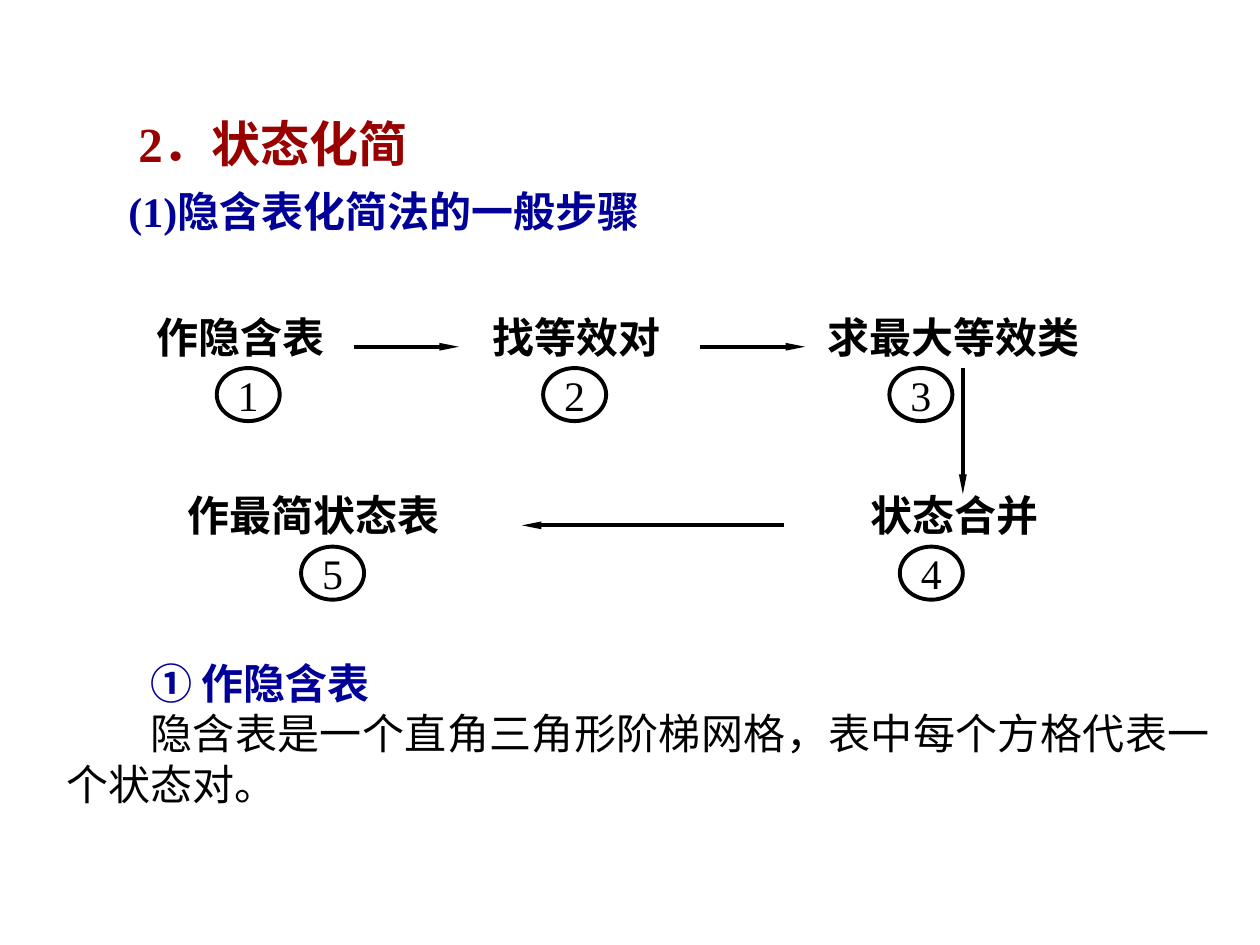
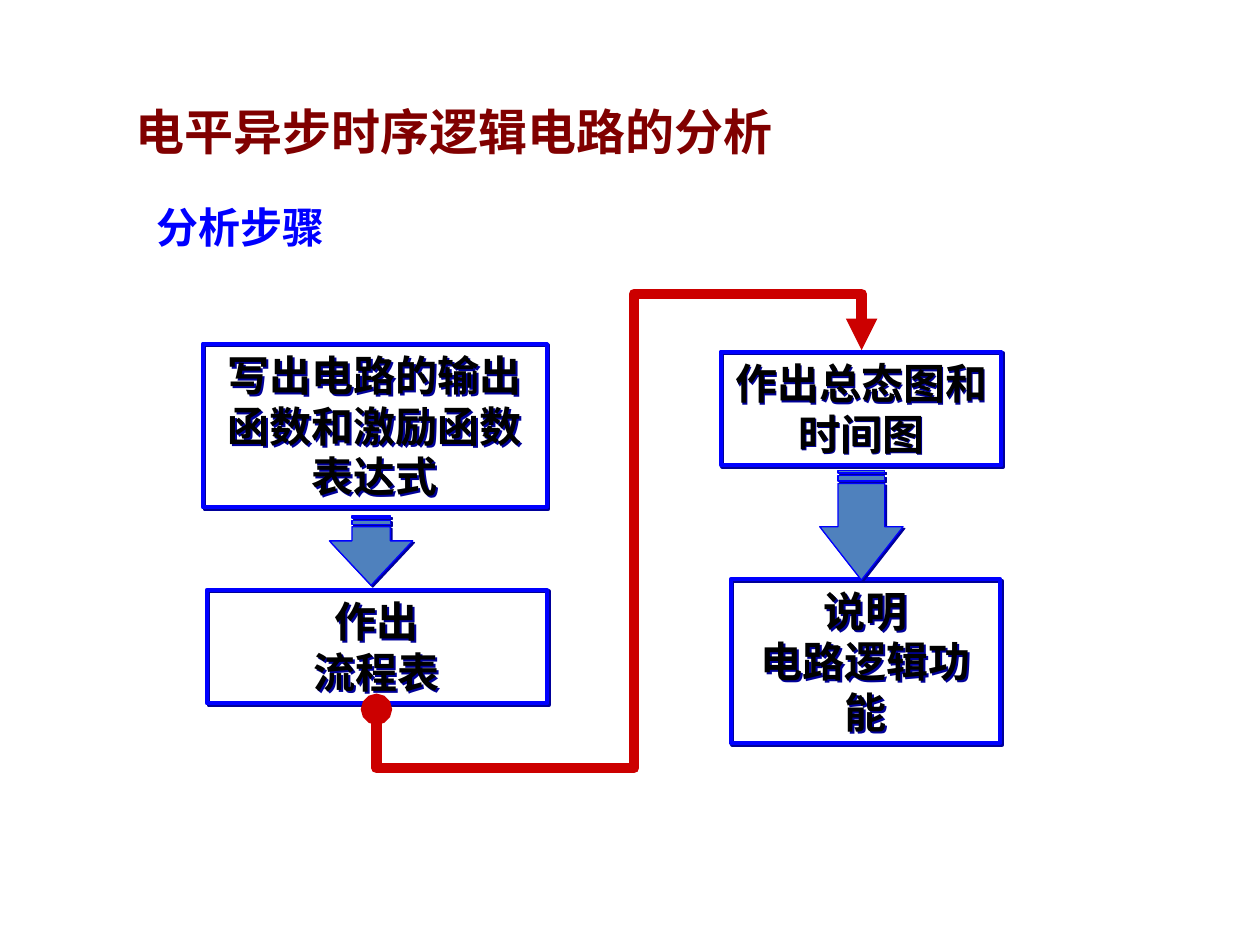
from dataclasses import dataclass

import pptx
import pptx.dml.color
import pptx.enum.shapes
import pptx.enum.text
import pptx.oxml
import pptx.oxml.ns
import pptx.util

Cm = pptx.util.Cm
Pt = pptx.util.Pt
qn = pptx.oxml.ns.qn
SHAPES = pptx.enum.shapes.MSO_SHAPE
CONNECTORS = pptx.enum.shapes.MSO_CONNECTOR
ALIGN = pptx.enum.text.PP_ALIGN


@dataclass(frozen=True)
class Theme:
    black: str = "000000"
    dark_red: str = "990000"
    maroon: str = "800000"
    navy: str = "000099"
    blue: str = "0000FF"
    steel: str = "4F81BD"
    red: str = "CC0000"
    serif: str = "Times New Roman"
    sans: str = "Arial"
    chinese: str = "Noto Sans CJK SC"
    title_size: int = 28
    text_size: int = 24
    thin: float = 0.75
    line: float = 2.25
    thick: float = 6


THEME = Theme()

# All positions are left, top, width, height in centimetres.
REDUCTION_TITLE = ("2．状态化简", (2.54, 2.16, 6.99, 1.45))
REDUCTION_SUBTITLE = ("(1)隐含表化简法的一般步骤", (2.34, 3.61, 11.63, 1.27))
ROW_TOPS = (6.15, 9.75)
STEP_HEIGHT = 1.27
CIRCLE_SIZE = (1.27, 1.07)
ARROW_DROP = 0.84
# text, row, left, width, indent in points, left of the numbered circle
STEPS = [
    ("作隐含表", 0, 2.9, 4.24, 0, 4.37),
    ("找等效对", 0, 9.25, 4.65, 12, 10.95),
    ("求最大等效类", 0, 16.23, 6.15, 6, 17.93),
    ("状态合并", 1, 16.87, 5.08, 12, 18.14),
    ("作最简状态表", 1, 3.53, 6.35, 0, 6.07),
]
# row, from x, to x
ROW_ARROWS = [(0, 7.14, 9.25), (0, 14.12, 16.23), (1, 15.8, 10.52)]
DOWN_ARROW = ((19.41, 7.42), (19.41, 9.96))
EXPLANATION = [
    ("① 作隐含表", THEME.navy, True),
    ("隐含表是一个直角三角形阶梯网格，表中每个方格代表一个状态对。", THEME.black, False),
]
EXPLANATION_BOX = (1.09, 13.13, 23.55, 3.3)

ANALYSIS_TITLE = ("电平异步时序逻辑电路的分析", (2.49, 1.93, 18.16, 1.45))
ANALYSIS_SUBTITLE = ("分析步骤", (2.9, 3.94, 9.73, 1.27))
ANALYSIS_BOXES = [
    ("写出电路的输出函数和激励函数表达式", (4.09, 6.93, 6.93, 3.3)),
    ("作出\n流程表", (4.17, 11.89, 6.86, 2.29)),
    ("作出总态图和时间图", (14.53, 7.09, 5.66, 2.29)),
    ("说明\n电路逻辑功能", (14.73, 11.68, 5.44, 3.3)),
]
# position before the quarter turn, shaft share, head share
STRIPED_ARROWS = [
    ((6.78, 10.26, 1.4, 1.68), 0.46, 0.64),
    ((16.26, 9.75, 2.21, 1.68), 0.56, 0.64),
]
ROUTE_START, ROUTE_END = (7.59, 14.3), (17.37, 7.06)
ROUTE_BOTTOM, ROUTE_MIDDLE, ROUTE_TOP = 15.49, 12.78, 5.92


def rgb(value):
    return pptx.dml.color.RGBColor.from_string(value)


def lengths(box):
    return [Cm(value) for value in box]


def format_paragraph(paragraph, color, font, size=THEME.text_size, bold=True,
                     align=ALIGN.LEFT):
    paragraph.alignment = align
    for run in paragraph.runs:
        run.font.name = font
        run.font.size = Pt(size)
        run.font.bold = bold
        run.font.color.rgb = rgb(color)
        east_asian = pptx.oxml.parse_xml(
            f'<a:ea {pptx.oxml.ns.nsdecls("a")} typeface="{THEME.chinese}"/>')
        run.font._element.find(qn("a:latin")).addnext(east_asian)


def indent(paragraph, margin=0, first_line=0):
    properties = paragraph._p.get_or_add_pPr()
    properties.set("marL", str(Pt(margin)))
    properties.set("indent", str(Pt(first_line)))


def add_text(slide, text, box, color, font, size=THEME.text_size):
    """Add a bold text box and return its frame."""
    frame = slide.shapes.add_textbox(*lengths(box)).text_frame
    frame.word_wrap = True
    frame.auto_size = pptx.enum.text.MSO_AUTO_SIZE.SHAPE_TO_FIT_TEXT
    frame.text = text
    for paragraph in frame.paragraphs:
        format_paragraph(paragraph, color, font, size)
    return frame


def add_outline(slide, kind, box, color, width):
    """Add an unfilled preset shape without a shadow."""
    shape = slide.shapes.add_shape(kind, *lengths(box))
    shape.shadow.inherit = False
    shape.fill.background()
    shape.line.color.rgb = rgb(color)
    shape.line.width = Pt(width)
    return shape


def cast_shadow(shape):
    shadow = pptx.oxml.parse_xml(
        f'<a:outerShdw {pptx.oxml.ns.nsdecls("a")} dist="{Pt(1.4)}" dir="2700000" '
        f'algn="ctr" rotWithShape="0"><a:srgbClr val="{THEME.navy}"/></a:outerShdw>')
    shape.element.spPr.find(qn("a:effectLst")).append(shadow)


def add_line(slide, kind, start, end, color, width, **ends):
    """Add a connector; ends maps headEnd or tailEnd to (type, width, length)."""
    connector = slide.shapes.add_connector(kind, *lengths(start + end))
    connector.line.color.rgb = rgb(color)
    connector.line.width = Pt(width)
    properties = connector.element.spPr
    for name, (kind_name, head_width, head_length) in ends.items():
        properties.find(qn("a:ln")).append(pptx.oxml.parse_xml(
            f'<a:{name} {pptx.oxml.ns.nsdecls("a")} type="{kind_name}" '
            f'w="{head_width}" len="{head_length}"/>'))
    properties.append(pptx.oxml.parse_xml(
        f'<a:effectLst {pptx.oxml.ns.nsdecls("a")}/>'))
    return connector


def add_heading(slide, title, subtitle, title_color, subtitle_color, font):
    add_text(slide, *title, title_color, font, THEME.title_size)
    add_text(slide, *subtitle, subtitle_color, font)


def add_step(slide, number, text, row, left, width, margin, circle_left):
    top = ROW_TOPS[row]
    frame = add_text(slide, text, (left, top, width, STEP_HEIGHT),
                     THEME.black, THEME.serif)
    indent(frame.paragraphs[0], margin)
    circle = add_outline(slide, SHAPES.OVAL,
                         (circle_left, top + STEP_HEIGHT, *CIRCLE_SIZE),
                         THEME.black, THEME.line)
    circle.text_frame.word_wrap = False
    circle.text_frame.text = str(number)
    format_paragraph(circle.text_frame.paragraphs[0], THEME.black, THEME.serif,
                     bold=False, align=ALIGN.CENTER)


def add_routed_arrow(slide):
    """Five-part elbow, drawn as a flipped connector turned by 90 degrees."""
    (start_x, start_y), (end_x, end_y) = ROUTE_START, ROUTE_END
    rise, run = start_y - end_y, end_x - start_x
    center_x, center_y = (start_x + end_x) / 2, (start_y + end_y) / 2
    connector = add_line(
        slide, CONNECTORS.ELBOW,
        (center_x + rise / 2, center_y + run / 2),
        (center_x - rise / 2, center_y - run / 2),
        THEME.red, THEME.thick,
        headEnd=("oval", "med", "med"), tailEnd=("triangle", "med", "med"))
    properties = connector.element.spPr
    properties.find(qn("a:xfrm")).set("rot", "5400000")
    bends = ((start_y - ROUTE_BOTTOM) / rise,
             (ROUTE_MIDDLE - start_x) / run,
             (start_y - ROUTE_TOP) / rise)
    guides = "".join(f'<a:gd name="adj{index}" fmla="val {round(bend * 100000)}"/>'
                     for index, bend in enumerate(bends, 1))
    geometry = pptx.oxml.parse_xml(
        f'<a:prstGeom {pptx.oxml.ns.nsdecls("a")} prst="bentConnector5">'
        f'<a:avLst>{guides}</a:avLst></a:prstGeom>')
    properties.replace(properties.find(qn("a:prstGeom")), geometry)


def build_reduction(slide):
    add_heading(slide, REDUCTION_TITLE, REDUCTION_SUBTITLE,
                THEME.dark_red, THEME.navy, THEME.serif)
    frame = add_text(slide, "\n".join(text for text, _, _ in EXPLANATION),
                     EXPLANATION_BOX, THEME.black, THEME.serif)
    for paragraph, (_, color, bold) in zip(frame.paragraphs, EXPLANATION):
        paragraph.alignment = ALIGN.JUSTIFY
        indent(paragraph, first_line=2 * THEME.text_size)
        for run in paragraph.runs:
            run.font.color.rgb = rgb(color)
            run.font.bold = bold
    for number, step in enumerate(STEPS, 1):
        add_step(slide, number, *step)
    arrows = [((start, ROW_TOPS[row] + ARROW_DROP), (end, ROW_TOPS[row] + ARROW_DROP))
              for row, start, end in ROW_ARROWS]
    for start, end in arrows + [DOWN_ARROW]:
        add_line(slide, CONNECTORS.STRAIGHT, start, end, THEME.black, THEME.line,
                 tailEnd=("triangle", "sm", "lg"))


def build_analysis(slide):
    add_heading(slide, ANALYSIS_TITLE, ANALYSIS_SUBTITLE,
                THEME.maroon, THEME.blue, THEME.chinese)
    for text, box in ANALYSIS_BOXES:
        shape = add_outline(slide, SHAPES.RECTANGLE, box, THEME.blue, THEME.line)
        cast_shadow(shape)
        frame = shape.text_frame
        frame.word_wrap = True
        frame.auto_size = pptx.enum.text.MSO_AUTO_SIZE.SHAPE_TO_FIT_TEXT
        frame.vertical_anchor = pptx.enum.text.MSO_ANCHOR.TOP
        frame.text = text
        for paragraph in frame.paragraphs:
            format_paragraph(paragraph, THEME.black, THEME.sans, align=ALIGN.CENTER)
    for box, shaft, head in STRIPED_ARROWS:
        arrow = add_outline(slide, SHAPES.STRIPED_RIGHT_ARROW, box,
                            THEME.blue, THEME.thin)
        arrow.fill.solid()
        arrow.fill.fore_color.rgb = rgb(THEME.steel)
        arrow.rotation = 90
        arrow.adjustments[0] = shaft
        arrow.adjustments[1] = head
        cast_shadow(arrow)
    add_routed_arrow(slide)


def main():
    presentation = pptx.Presentation()
    presentation.slide_width = Cm(25.4)
    presentation.slide_height = Cm(19.05)
    blank = presentation.slide_layouts[6]
    for build in (build_reduction, build_analysis):
        build(presentation.slides.add_slide(blank))
    presentation.save("out.pptx")


if __name__ == "__main__":
    main()
